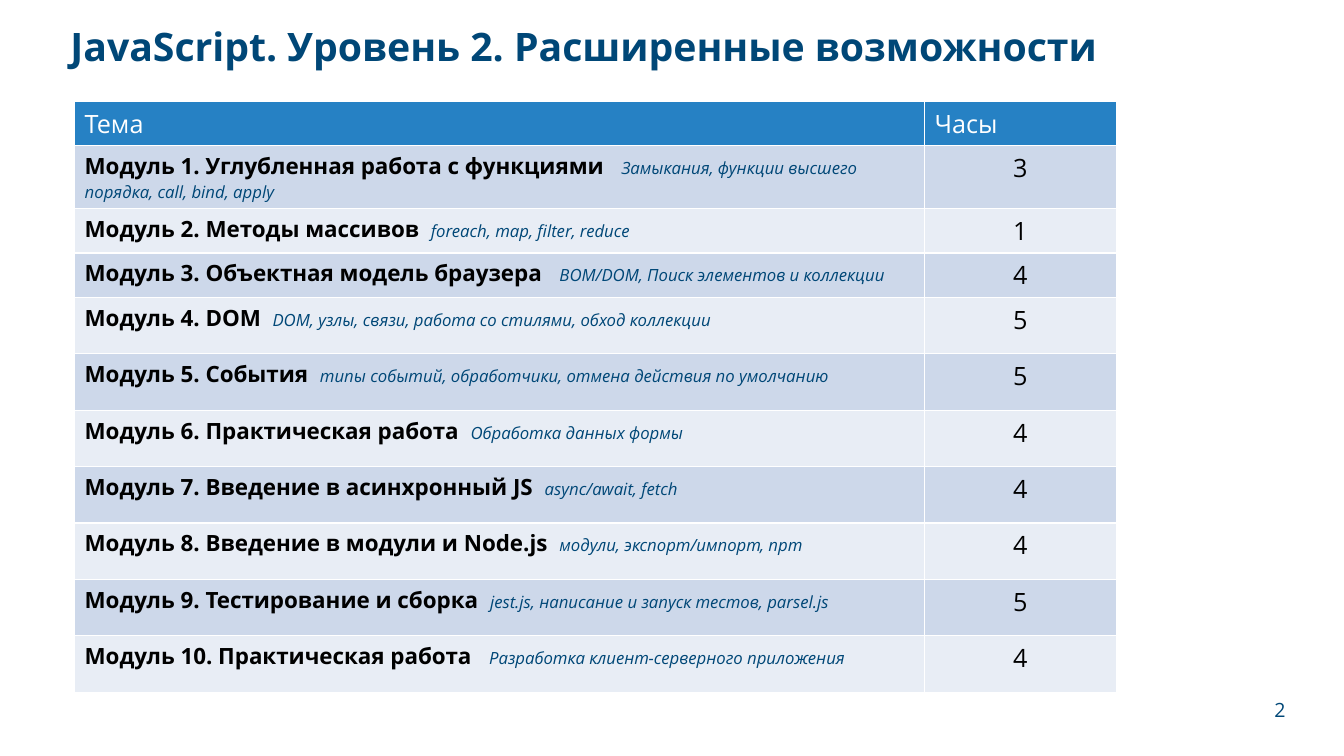
"""Build the course outline slide: a title, a table of modules and a page number."""
from pptx import Presentation
from pptx import util as u
from pptx.dml.color import RGBColor
from pptx.enum import text

FONT = "Open Sans"
COLORS = {"navy": "004777", "header": "2681C4", "odd": "CDD8EA", "even": "E8EDF5",
          "black": "000000", "white": "FFFFFF"}
TITLE = dict(size=28, bold=True, color="navy")
NUMBER = dict(size=14, color="navy")
HEADER = dict(size=18, bold=False, color="white")
MODULE = dict(size=16, bold=True, color="black")
TOPICS = dict(size=12, bold=False, italic=True, color="navy")
HOURS = dict(size=18, bold=False, color="black")
NARROW, WIDE = 415, 825
COLUMN_WIDTHS = [8.43, 1.9]
ROW_HEIGHTS = [0.43, 0.63, 0.44, 0.44] + [0.56] * 7
MODULES = [
    ("Углубленная работа с функциями", WIDE,
     "Замыкания, функции высшего порядка, call, bind, apply", 3),
    ("Методы массивов", NARROW, "foreach, map, filter, reduce", 1),
    ("Объектная модель браузера", WIDE, "BOM/DOM, Поиск элементов и коллекции", 4),
    ("DOM", NARROW, "DOM, узлы, связи, работа со стилями, обход коллекции", 5),
    ("События", NARROW, "типы событий, обработчики, отмена действия по умолчанию", 5),
    ("Практическая работа", NARROW, "Обработка данных формы", 4),
    ("Введение в асинхронный JS", NARROW, "async/await, fetch", 4),
    ("Введение в модули и Node.js", NARROW, "модули, экспорт/импорт, npm", 4),
    ("Тестирование и сборка", NARROW, "jest.js, написание и запуск тестов, parsel.js", 5),
    ("Практическая работа", WIDE, "Разработка клиент-серверного приложения", 4),
]


def add_run(p, content, size, color, **formats):
    """Add a formatted run to a paragraph."""
    r = p.add_run()
    r.text = content
    for name, value in dict(formats, name=FONT, size=u.Pt(size)).items():
        setattr(r.font, name, value)
    r.font.color.rgb = RGBColor.from_string(COLORS[color])
    return r


def add_text(s, box, content, style, anchor, **paragraph):
    """Add a text box with one paragraph."""
    tf = s.shapes.add_textbox(*map(u.Inches, box)).text_frame
    tf.word_wrap = True
    tf.vertical_anchor = anchor
    p = tf.paragraphs[0]
    for name, value in paragraph.items():
        setattr(p, name, value)
    add_run(p, content, **style)


def fill_cell(cell, color):
    """Fill a cell and return its paragraph."""
    cell.fill.solid()
    cell.fill.fore_color.rgb = RGBColor.from_string(COLORS[color])
    return cell.text_frame.paragraphs[0]


def add_modules(s):
    """Add the table of modules and hours."""
    box = (0.74, 1.01, sum(COLUMN_WIDTHS), sum(ROW_HEIGHTS))
    table = s.shapes.add_table(len(ROW_HEIGHTS), len(COLUMN_WIDTHS),
                               *map(u.Inches, box)).table
    for column, width in zip(table.columns, COLUMN_WIDTHS):
        column.width = u.Inches(width)
    for row, height in zip(table.rows, ROW_HEIGHTS):
        row.height = u.Inches(height)
    for i, heading in enumerate(("Тема", "Часы")):
        add_run(fill_cell(table.cell(0, i), "header"), heading, **HEADER)
    for i, (name, gap, topics, hours) in enumerate(MODULES, 1):
        band = "odd" if i % 2 else "even"
        p = fill_cell(table.cell(i, 0), band)
        add_run(p, f"Модуль {i}. {name}", **MODULE)
        space = add_run(p, " ", **MODULE)
        space._r.get_or_add_rPr().set("spc", str(gap))
        add_run(p, topics, **TOPICS)
        p = fill_cell(table.cell(i, 1), band)
        p.alignment = text.PP_ALIGN.CENTER
        add_run(p, str(hours), **HOURS)


def main():
    """Build and save the slide."""
    prs = Presentation()
    prs.slide_width, prs.slide_height = u.Inches(13.33), u.Inches(7.5)
    s = prs.slides.add_slide(prs.slide_layouts[6])
    add_text(s, (12.06, 6.85, 0.79, 0.39), "2", NUMBER, text.MSO_ANCHOR.MIDDLE,
             alignment=text.PP_ALIGN.RIGHT)
    add_modules(s)
    add_text(s, (0.6, 0.22, 10.78, 0.71), "JavaScript. Уровень 2. Расширенные возможности",
             TITLE, text.MSO_ANCHOR.TOP, line_spacing=0.9)
    prs.save("out.pptx")


if __name__ == "__main__":
    main()
